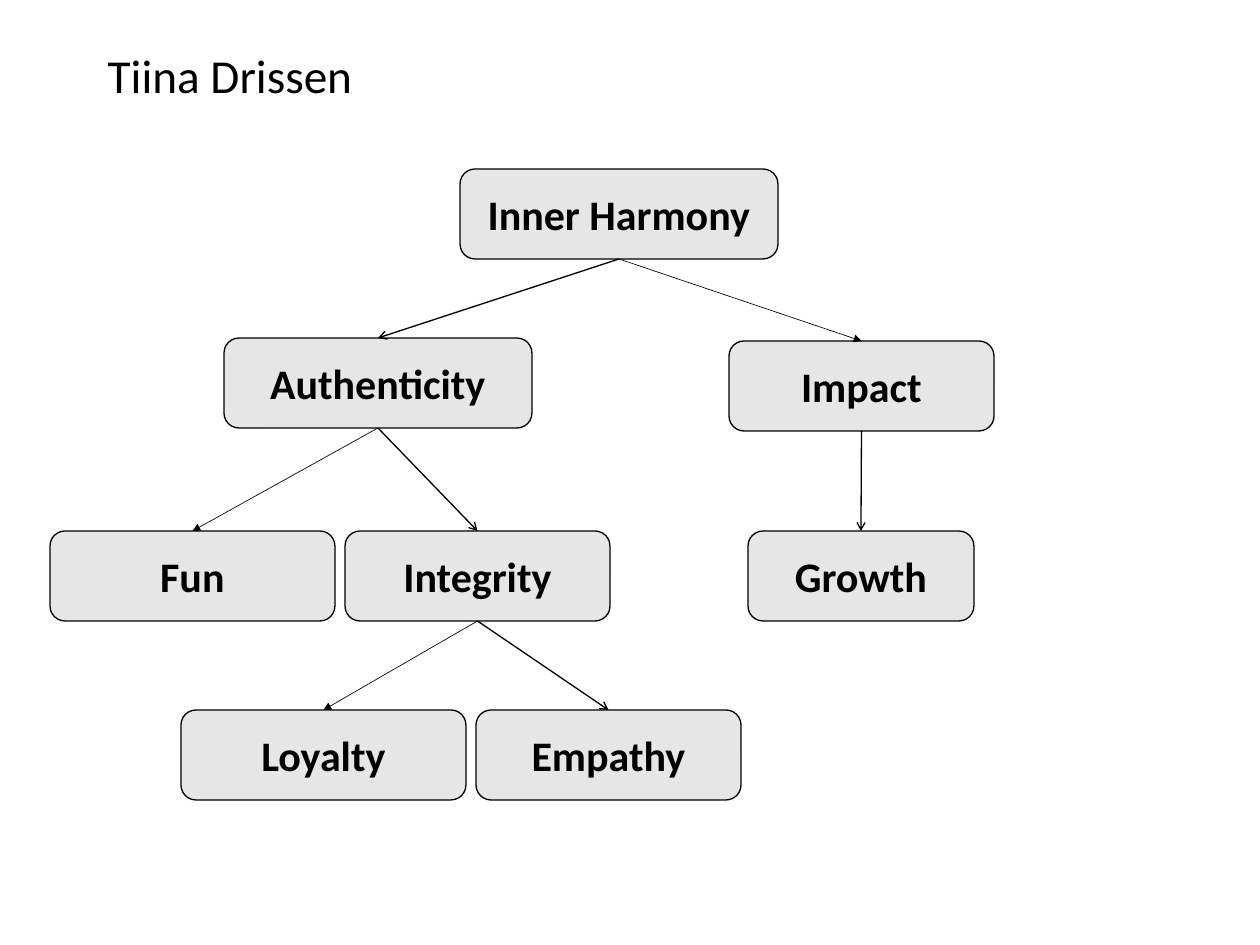
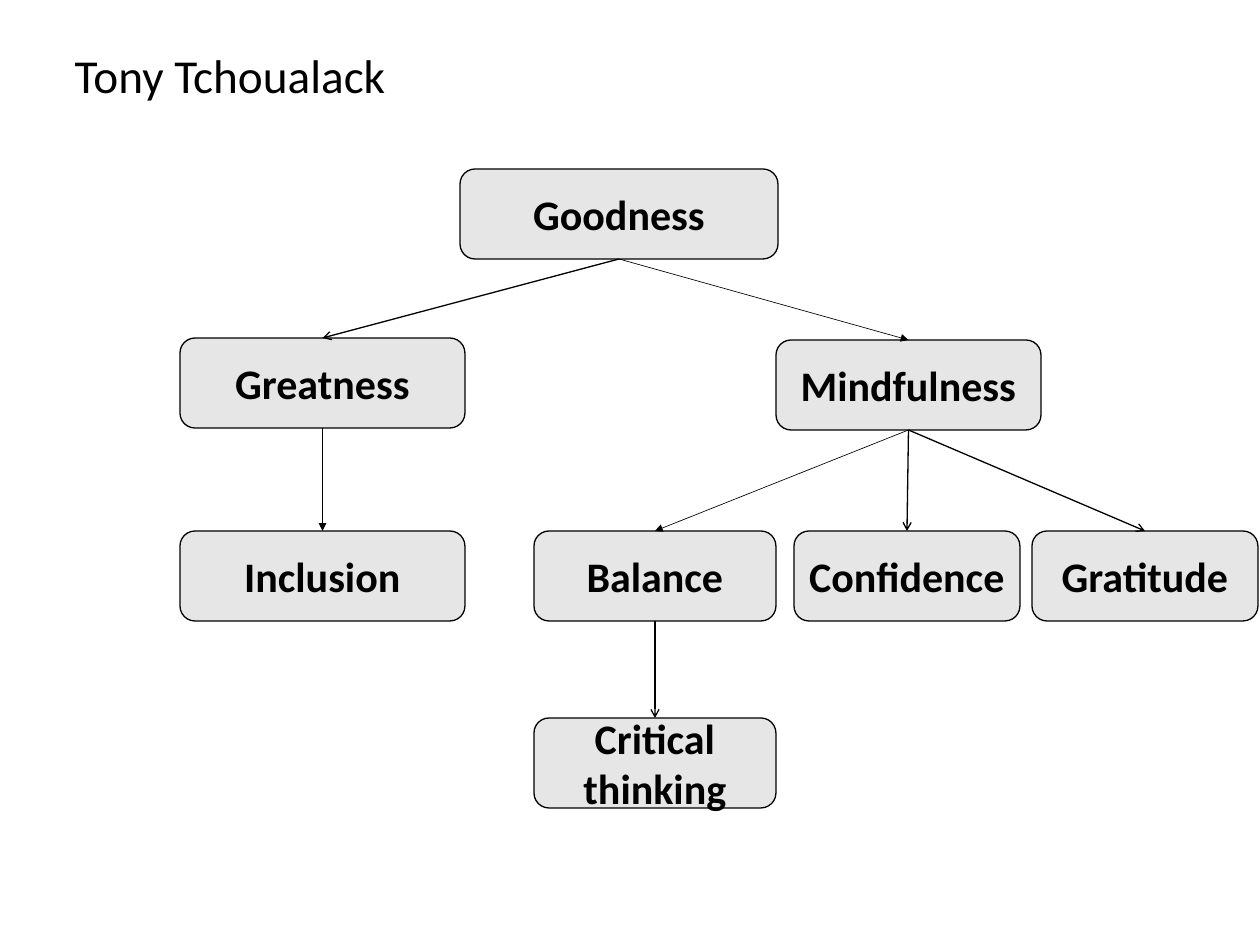
import dataclasses
import pptx
import pptx.dml.color
import pptx.enum.shapes
import pptx.enum.text
import pptx.oxml.ns
import pptx.oxml.xmlchemy
import pptx.util

EMU_PER_PX = 9676
BOX_HEIGHT = 90
BOTTOM, TOP = 2, 0


@dataclasses.dataclass(frozen=True)
class Theme:
    font: str = "Calibri"
    ink: pptx.dml.color.RGBColor = pptx.dml.color.RGBColor(0, 0, 0)
    box_fill: pptx.dml.color.RGBColor = pptx.dml.color.RGBColor(0xE7, 0xE6, 0xE6)
    name_size: int = 36
    value_size: int = 32
    outline: float = 1


@dataclasses.dataclass(frozen=True)
class Arrow:
    head: str
    width: float


THEME = Theme()
FINE = Arrow("triangle", 0.5)
OPEN = Arrow("arrow", 1)

TIINA_VALUES = {
    "Inner Harmony": (460, 169, 318),
    "Authenticity": (224, 338, 308),
    "Impact": (729, 341, 265),
    "Fun": (50, 531, 285),
    "Integrity": (345, 531, 265),
    "Growth": (748, 531, 226),
    "Loyalty": (181, 710, 285),
    "Empathy": (476, 710, 265),
}
TIINA_LINKS = [
    ("Inner Harmony", "Authenticity", OPEN),
    ("Inner Harmony", "Impact", FINE),
    ("Authenticity", "Fun", FINE),
    ("Authenticity", "Integrity", OPEN),
    ("Impact", "Growth", OPEN),
    ("Integrity", "Loyalty", FINE),
    ("Integrity", "Empathy", OPEN),
]
TONY_VALUES = {
    "Goodness": (460, 169, 318),
    "Greatness": (180, 338, 285),
    "Mindfulness": (776, 340, 265),
    "Inclusion": (180, 531, 285),
    "Balance": (534, 531, 242),
    "Confidence": (794, 531, 226),
    "Gratitude": (1032, 531, 226),
    "Critical thinking": (534, 718, 242),
}
TONY_LINKS = [
    ("Goodness", "Greatness", OPEN),
    ("Goodness", "Mindfulness", FINE),
    ("Greatness", "Inclusion", FINE),
    ("Mindfulness", "Balance", FINE),
    ("Mindfulness", "Confidence", OPEN),
    ("Mindfulness", "Gratitude", OPEN),
    ("Balance", "Critical thinking", OPEN),
]


def px(length):
    return pptx.util.Emu(length * EMU_PER_PX)


def write_centred(frame, text, size, bold):
    frame.word_wrap = True
    frame.auto_size = pptx.enum.text.MSO_AUTO_SIZE.NONE
    frame.vertical_anchor = pptx.enum.text.MSO_ANCHOR.MIDDLE
    frame.text = text
    paragraph = frame.paragraphs[0]
    paragraph.alignment = pptx.enum.text.PP_ALIGN.CENTER
    paragraph.font.name = THEME.font
    paragraph.font.size = pptx.util.Pt(size)
    paragraph.font.bold = bold
    paragraph.font.color.rgb = THEME.ink


def set_name(slide, name):
    heading = slide.shapes.title
    heading.left, heading.top = px(0), px(41)
    heading.width, heading.height = px(460), px(67)
    write_centred(heading.text_frame, name, THEME.name_size, False)


def add_value(slide, label, left, top, width):
    value = slide.shapes.add_shape(
        pptx.enum.shapes.MSO_SHAPE.ROUNDED_RECTANGLE,
        px(left), px(top), px(width), px(BOX_HEIGHT))
    value.shadow.inherit = False
    value.fill.solid()
    value.fill.fore_color.rgb = THEME.box_fill
    value.line.color.rgb = THEME.ink
    value.line.width = pptx.util.Pt(THEME.outline)
    write_centred(value.text_frame, label, THEME.value_size, True)
    return value


def add_link(slide, parent, child, arrow):
    link = slide.shapes.add_connector(
        pptx.enum.shapes.MSO_CONNECTOR.STRAIGHT, 0, 0, 0, 0)
    link.begin_connect(parent, BOTTOM)
    link.end_connect(child, TOP)
    link.line.color.rgb = THEME.ink
    link.line.width = pptx.util.Pt(arrow.width)
    head = pptx.oxml.xmlchemy.OxmlElement("a:tailEnd")
    head.set("type", arrow.head)
    properties = link._element.spPr
    properties.find(pptx.oxml.ns.qn("a:ln")).append(head)
    properties.append(pptx.oxml.xmlchemy.OxmlElement("a:effectLst"))


def add_value_tree(deck, name, values, links):
    slide = deck.slides.add_slide(deck.slide_layouts.get_by_name("Title Only"))
    set_name(slide, name)
    boxes = {label: add_value(slide, label, *place)
             for label, place in values.items()}
    for parent, child, arrow in links:
        add_link(slide, boxes[parent], boxes[child], arrow)


def main():
    deck = pptx.Presentation()
    deck.slide_width, deck.slide_height = px(1260), px(945)
    add_value_tree(deck, "Tiina Drissen", TIINA_VALUES, TIINA_LINKS)
    add_value_tree(deck, "Tony Tchoualack", TONY_VALUES, TONY_LINKS)
    deck.save("out.pptx")


if __name__ == "__main__":
    main()
